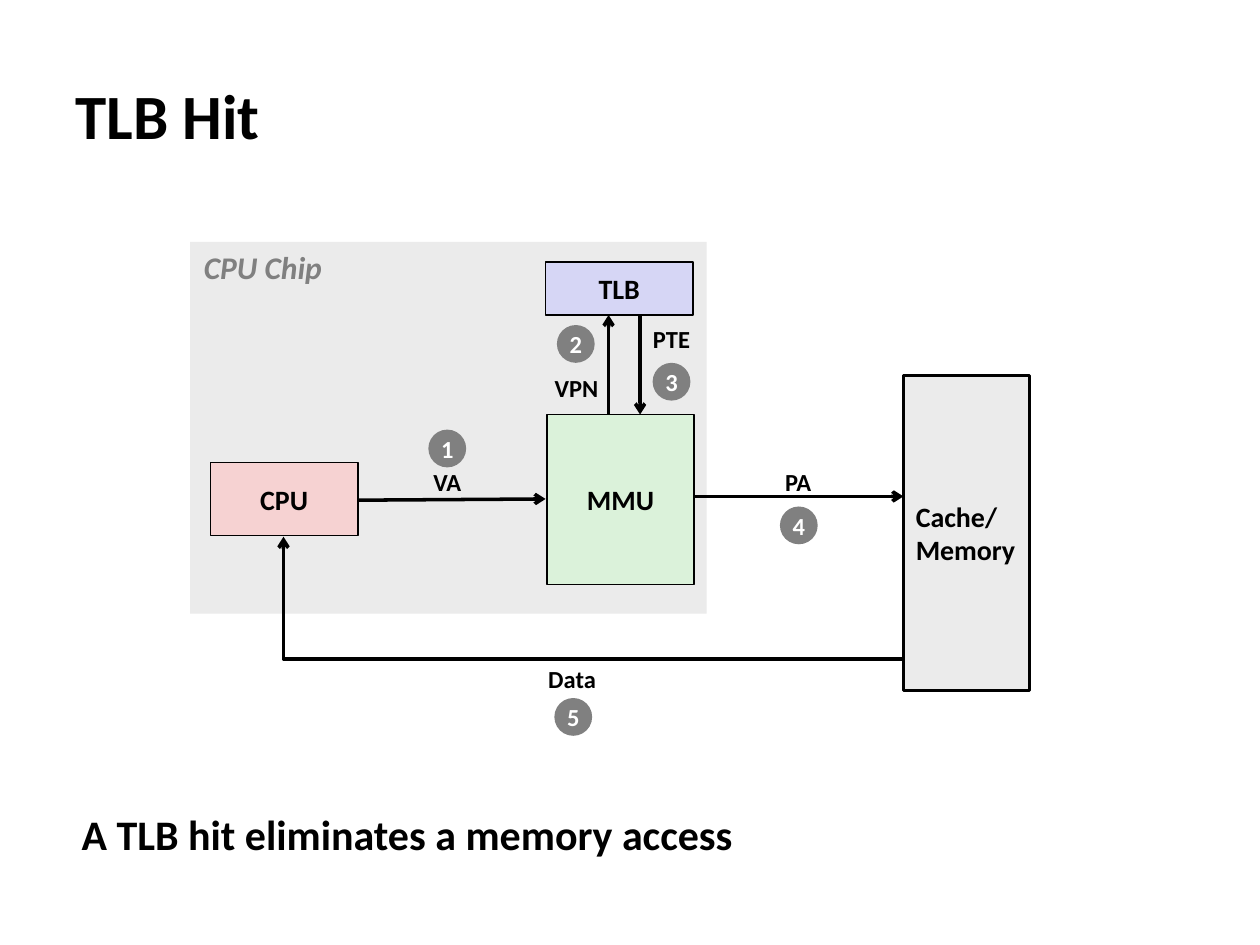
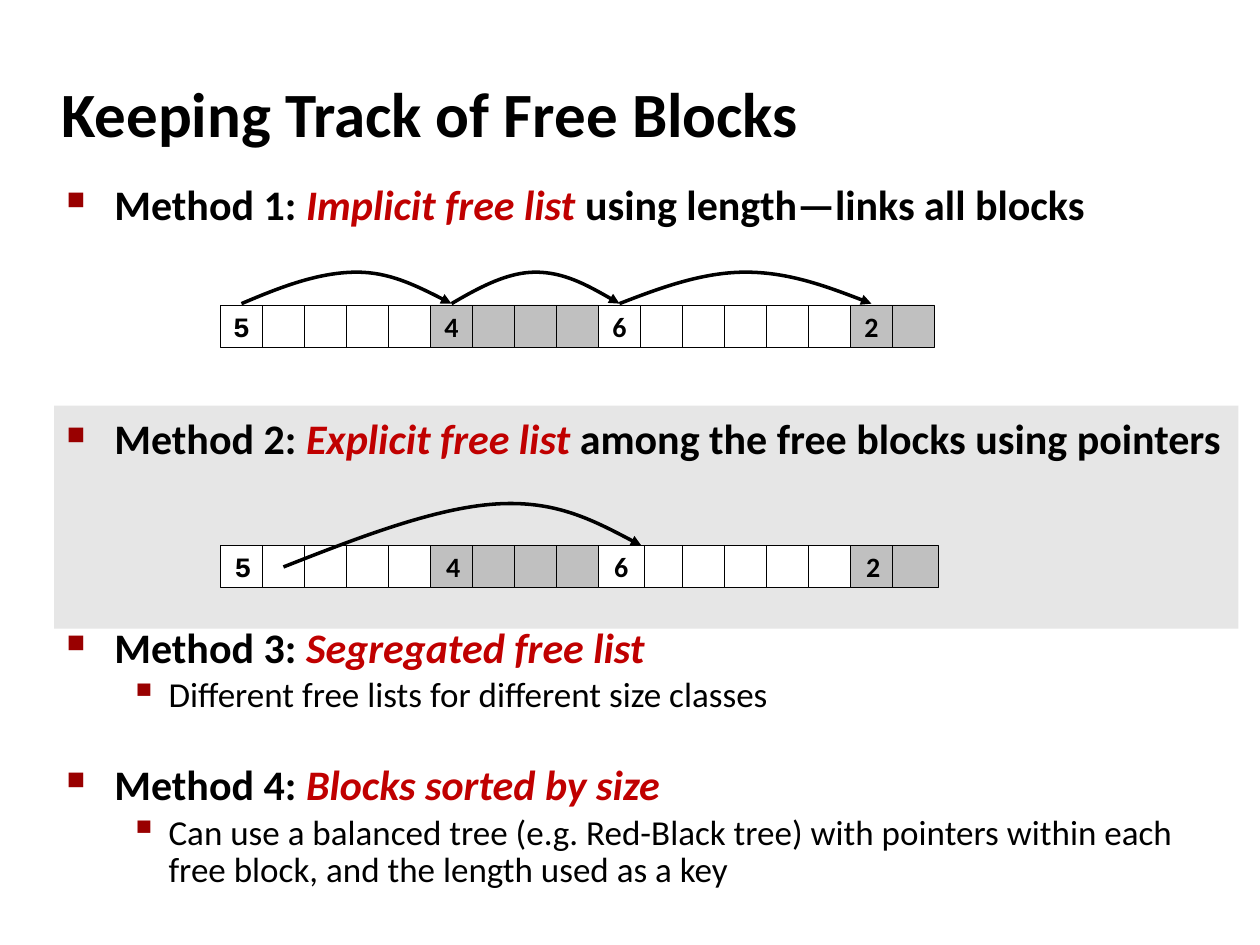
from dataclasses import dataclass

from lxml.etree import SubElement
from pptx import Presentation
from pptx.dml.color import RGBColor
from pptx.enum.shapes import MSO_CONNECTOR, MSO_SHAPE
from pptx.enum.text import MSO_ANCHOR, PP_ALIGN
from pptx.oxml.ns import qn
from pptx.util import Inches, Pt

BLACK = RGBColor(0x00, 0x00, 0x00)
WHITE = RGBColor(0xFF, 0xFF, 0xFF)
CHIP_GREY = RGBColor(0xEB, 0xEB, 0xEB)
BAND_GREY = RGBColor(0xE6, 0xE6, 0xE6)
USED_GREY = RGBColor(0xC0, 0xC0, 0xC0)
MID_GREY = RGBColor(0x80, 0x80, 0x80)
MMU_GREEN = RGBColor(0xDB, 0xF2, 0xDA)
CPU_PINK = RGBColor(0xF6, 0xD2, 0xD2)
TLB_BLUE = RGBColor(0xD6, 0xD6, 0xF5)
TERM_RED = RGBColor(0xC0, 0x00, 0x00)
BULLET_RED = "990000"

FONT = "Calibri"
CELL = 1 / 3
BLOCKS = [(5, WHITE), (4, USED_GREY), (6, WHITE), (2, USED_GREY)]


@dataclass
class Box:
    """A rectangle in inches."""
    left: float
    top: float
    width: float
    height: float

    def inside(self, dx, dy, width, height):
        return Box(self.left + dx, self.top + dy, width, height)

    def point(self, dx, dy):
        return self.left + dx, self.top + dy

    def lengths(self):
        return [Inches(v) for v in (self.left, self.top, self.width, self.height)]


# Text helpers
def add_span(para, text, size, color=BLACK, bold=True, italic=False, font=FONT):
    span = para.add_run()
    span.text = text
    span.font.name = font
    span.font.size = Pt(size)
    span.font.bold = bold
    span.font.italic = italic
    span.font.color.rgb = color


def set_indent(para, left, first):
    props = para._p.get_or_add_pPr()
    props.set("marL", str(Inches(left)))
    props.set("indent", str(Inches(first)))
    return props


def set_bullet(para, left, first, char, percent):
    props = set_indent(para, left, first)
    color = SubElement(props, qn("a:buClr"))
    SubElement(color, qn("a:srgbClr")).set("val", BULLET_RED)
    SubElement(props, qn("a:buSzPct")).set("val", str(percent * 1000))
    SubElement(props, qn("a:buChar")).set("char", char)


def add_text_box(page, box, wrap=True, anchor=MSO_ANCHOR.TOP):
    frame = page.shapes.add_textbox(*box.lengths()).text_frame
    frame.word_wrap = wrap
    frame.vertical_anchor = anchor
    return frame


def add_title(page, box, text):
    para = add_text_box(page, box, anchor=MSO_ANCHOR.MIDDLE).paragraphs[0]
    set_indent(para, 0.13, -0.13)
    add_span(para, text, 36)


def add_label(page, box, text):
    para = add_text_box(page, box, False, MSO_ANCHOR.MIDDLE).paragraphs[0]
    para.alignment = PP_ALIGN.CENTER
    para.line_spacing = 0.98
    add_span(para, text, 14)


# Shape helpers
def add_block(page, box, fill, line=None, text="", size=16, color=BLACK,
              kind=MSO_SHAPE.RECTANGLE, align=PP_ALIGN.CENTER, font=FONT):
    shape = page.shapes.add_shape(kind, *box.lengths())
    shape.shadow.inherit = False
    shape.fill.solid()
    shape.fill.fore_color.rgb = fill
    if line is None:
        shape.line.fill.background()
    else:
        shape.line.color.rgb = BLACK
        shape.line.width = Pt(line)
    if text:
        frame = shape.text_frame
        frame.word_wrap = False
        frame.vertical_anchor = MSO_ANCHOR.MIDDLE
        for index, words in enumerate(text.split("\n")):
            para = frame.add_paragraph() if index else frame.paragraphs[0]
            para.alignment = align
            add_span(para, words, size, color, font=font)


def style_arrow(shape, head):
    shape.line.color.rgb = BLACK
    shape.line.width = Pt(2)
    SubElement(shape.line._get_or_add_ln(), qn("a:tailEnd")).set("type", head)


def add_arrow(page, start, end, kind=MSO_CONNECTOR.STRAIGHT):
    arrow = page.shapes.add_connector(kind, *[Inches(v) for v in (*start, *end)])
    style_arrow(arrow, "arrow")
    SubElement(arrow._element.spPr, qn("a:effectLst"))
    return arrow


def add_corner_arrow(page, tip, tail):
    """Runs left from the tail, then up to the tip."""
    props = add_arrow(page, tip, tail, MSO_CONNECTOR.ELBOW)._element.spPr
    props.find(qn("a:prstGeom")).set("prst", "bentConnector2")
    props.find(qn("a:xfrm")).set("rot", str(180 * 60000))


def add_curve(page, points):
    """Draws Bezier arcs; after the start, every three points make one arc."""
    start, *rest = [(Inches(x), Inches(y)) for x, y in points]
    builder = page.shapes.build_freeform(*start)
    builder.add_line_segments(rest, close=False)
    curve = builder.convert_to_shape()
    curve.shadow.inherit = False
    curve.fill.background()
    style_arrow(curve, "triangle")
    outline = next(curve._element.iter(qn("a:path")))
    segments = outline.findall(qn("a:lnTo"))
    for index, segment in enumerate(segments):
        if index % 3 == 0:
            arc = SubElement(outline, qn("a:cubicBezTo"))
        arc.append(segment[0])
        outline.remove(segment)


# Slide 1: address translation diagram
def draw_translation(page, box):
    add_block(page, box.inside(0, 0, 4.1, 2.95), CHIP_GREY)
    chip = add_text_box(page, box.inside(0.01, 0, 1.16, 0.4), wrap=False)
    add_span(chip.paragraphs[0], "CPU Chip", 18, MID_GREY, italic=True)

    # Units
    for dx, dy, width, height, fill, name in [
        (2.83, 1.37, 1.17, 1.35, MMU_GREEN, "MMU"),
        (0.16, 1.75, 1.17, 0.58, CPU_PINK, "CPU"),
        (2.82, 0.16, 1.17, 0.42, TLB_BLUE, "TLB"),
    ]:
        add_block(page, box.inside(dx, dy, width, height), fill, 1, name)
    add_block(page, box.inside(5.66, 1.06, 1, 2.5), CHIP_GREY, 1.5,
              "Cache/\nMemory", align=PP_ALIGN.LEFT)

    # Arrows
    for start, end in [
        ((1.33, 2.05), (2.82, 2.04)),
        ((3.32, 1.37), (3.32, 0.58)),
        ((3.57, 0.58), (3.57, 1.37)),
        ((3.99, 2.02), (5.66, 2.02)),
    ]:
        add_arrow(page, box.point(*start), box.point(*end))
    add_corner_arrow(page, box.point(0.74, 2.34), box.point(5.66, 3.31))

    # What each step carries, and its number
    steps = [
        ("VA", (1.83, 1.75, 0.42), (1.89, 1.49)),
        ("VPN", (2.79, 1.0, 0.55), (2.91, 0.66)),
        ("PTE", (3.57, 0.61, 0.5), (3.67, 0.96)),
        ("PA", (4.62, 1.75, 0.41), (4.68, 2.1)),
        ("Data", (2.74, 3.31, 0.58), (2.89, 3.62)),
    ]
    for number, (name, label, badge) in enumerate(steps, 1):
        add_label(page, box.inside(*label, 0.33), name)
        add_block(page, box.inside(*badge, 0.3, 0.3), MID_GREY, text=str(number),
                  size=14, color=WHITE, kind=MSO_SHAPE.OVAL)


def build_tlb_hit(page):
    add_title(page, Box(0.5, 0.48, 9.53, 0.86), "TLB Hit")
    draw_translation(page, Box(1.51, 1.92, 6.66, 3.95))
    para = add_text_box(page, Box(0.55, 6.37, 7.86, 0.63)).paragraphs[0]
    set_indent(para, 0.38, -0.38)
    add_span(para, "A TLB hit eliminates a memory access", 24)


# Slide 2: methods and heap rows
def write_methods(page, box):
    frame = add_text_box(page, box)
    # term, rest of the line, detail, space before, line spacing
    methods = [
        ("Implicit free list ", "using length—links all blocks", "", 0, 1.0),
        ("Explicit free list ", "among the free blocks using pointers", "", 105, 1.0),
        ("Segregated free list", "",
         "Different free lists for different size classes", 95, 0.83),
        ("Blocks sorted by size", "",
         "Can use a balanced tree (e.g. Red-Black tree) with pointers within each "
         "free block, and the length used as a key", 29.4, 0.83),
    ]
    for number, (term, rest, detail, space, spacing) in enumerate(methods, 1):
        para = frame.paragraphs[0] if number == 1 else frame.add_paragraph()
        set_bullet(para, 0.38, -0.38, "■", 60)
        para.space_before = Pt(space)
        para.line_spacing = spacing
        add_span(para, f"Method {number}: ", 24)
        add_span(para, term, 24, TERM_RED, italic=True)
        if rest:
            add_span(para, rest, 24)
        if detail:
            para = frame.add_paragraph()
            para.level = 1
            set_bullet(para, 0.81, -0.31, "▪", 110)
            para.space_before = Pt(4)
            para.line_spacing = 0.88
            add_span(para, detail, 20, bold=False)


def draw_heap(page, box, cell_width):
    cells = []
    for size, fill in BLOCKS:
        for offset in range(size):
            cells.append((len(cells), fill, "" if offset else str(size)))
    # The head of the six-word block lies over its neighbours
    for index, fill, text in sorted(cells, key=lambda cell: cell[2] == "6"):
        add_block(page, box.inside(index * CELL, 0, cell_width, box.height), fill,
                  0.25, text, font=FONT if index else "Courier New")


def draw_hops(page, box):
    """Links each block head to the next one."""
    left = CELL / 2
    for (size, _), peak in zip(BLOCKS[:-1], (0.55, 0.5, 0.5)):
        tail = (1 - peak) / 3
        across = (0, peak / 3, peak * 2 / 3, peak, peak + tail, peak + 2 * tail, 1)
        up = (0, 0.13, 0.25, 0.25, 0.25, 0.13, 0)
        width = size * CELL
        add_curve(page, [box.point(left + width * x, -0.01 - y)
                         for x, y in zip(across, up)])
        left += width


def draw_pointer(page, box):
    """Links the first free block to the next free one."""
    add_curve(page, [box.point(*spot) for spot in [
        (0.5, 0.17), (1.11, -0.07), (1.71, -0.3), (2.19, -0.33),
        (2.66, -0.36), (3, -0.18), (3.34, 0)]])


def build_free_blocks(page):
    add_block(page, Box(0.43, 3.22, 9.4, 1.77), BAND_GREY)
    add_title(page, Box(0.39, 0.48, 8.3, 0.83), "Keeping Track of Free Blocks")
    write_methods(page, Box(0.43, 1.37, 9.4, 5.88))
    implicit = Box(1.75, 2.42, 17 * CELL, CELL)
    draw_heap(page, implicit, CELL)
    draw_hops(page, implicit)
    explicit = Box(1.75, 4.33, 17 * CELL, CELL)
    draw_heap(page, explicit, 0.36)
    draw_pointer(page, explicit)


def main():
    deck = Presentation()
    deck.slide_width = Inches(10)
    deck.slide_height = Inches(7.5)
    for build in (build_tlb_hit, build_free_blocks):
        build(deck.slides.add_slide(deck.slide_layouts[6]))
    deck.save("out.pptx")


if __name__ == "__main__":
    main()
